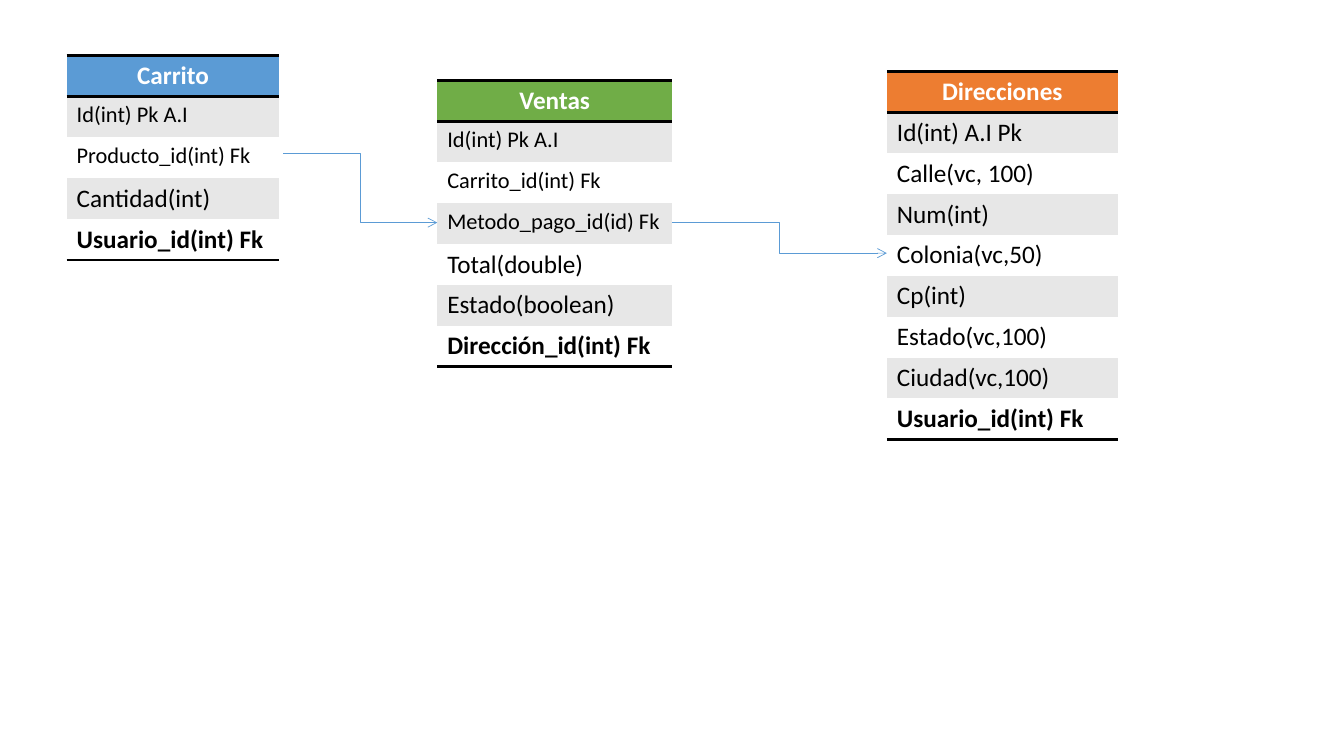
"""Draw the entity tables of a shop database and the links between them."""
from dataclasses import dataclass

from pptx import Presentation
from pptx import util as u
from pptx.dml.color import RGBColor
from pptx.enum import shapes, text
from pptx.oxml import ns, xmlchemy
from pptx.slide import Slide
from pptx.table import _Cell

BLUE = RGBColor(0x5B, 0x9B, 0xD5)
GREEN = RGBColor(0x70, 0xAD, 0x47)
ORANGE = RGBColor(0xED, 0x7D, 0x31)
BAND = RGBColor(0xE7, 0xE7, 0xE7)
WHITE = RGBColor(0xFF, 0xFF, 0xFF)
BLACK = RGBColor(0x00, 0x00, 0x00)

FONT = "Calibri"
ROW_HEIGHT = 1.03
BORDER_WIDTH = u.Pt(2)
PLAIN_TABLE_STYLE = "{2D5ABB26-0587-4C30-8999-92F81FD0307C}"


@dataclass(frozen=True)
class Entity:
    """A database table; its first small_fields fields use smaller text."""

    name: str
    color: RGBColor
    left: float
    top: float
    width: float
    fields: tuple[str, ...]
    small_fields: int = 0


@dataclass(frozen=True)
class Link:
    """An elbow arrow between two points."""

    begin: tuple[float, float]
    end: tuple[float, float]


ENTITIES = (
    Entity("Carrito", BLUE, 1.68, 1.4, 5.36,
           ("Id(int) Pk A.I", "Producto_id(int) Fk", "Cantidad(int)",
            "Usuario_id(int) Fk"), 2),
    Entity("Ventas", GREEN, 11.02, 2.03, 5.92,
           ("Id(int) Pk A.I", "Carrito_id(int) Fk", "Metodo_pago_id(id) Fk",
            "Total(double)", "Estado(boolean)", "Dirección_id(int) Fk"), 3),
    Entity("Direcciones", ORANGE, 22.35, 1.8, 5.82,
           ("Id(int) A.I Pk", "Calle(vc, 100)", "Num(int)", "Colonia(vc,50)",
            "Cp(int)", "Estado(vc,100)", "Ciudad(vc,100)",
            "Usuario_id(int) Fk")),
)

LINKS = (
    Link((7.14, 3.86), (11.02, 5.61)),
    Link((16.94, 5.61), (22.35, 6.38)),
)


def add_border(cell: _Cell, side: str) -> None:
    """Add a black border; call before the cell is filled."""
    border = xmlchemy.OxmlElement(f"a:{side}")
    border.set("w", str(BORDER_WIDTH))
    fill = xmlchemy.OxmlElement("a:solidFill")
    color = xmlchemy.OxmlElement("a:srgbClr")
    color.set("val", str(BLACK))
    fill.append(color)
    border.append(fill)
    cell._tc.get_or_add_tcPr().append(border)


def fill_cell(cell: _Cell, content: str, fill: RGBColor, color: RGBColor,
              size: int, bold: bool) -> None:
    """Write and colour one cell."""
    cell.fill.solid()
    cell.fill.fore_color.rgb = fill
    cell.text_frame.text = content
    font = cell.text_frame.paragraphs[0].runs[0].font
    font.name = FONT
    font.size = u.Pt(size)
    font.bold = bold
    font.color.rgb = color


def add_entity(slide: Slide, entity: Entity) -> None:
    """Draw one entity as a one-column table."""
    row_count = len(entity.fields) + 1
    frame = slide.shapes.add_table(
        row_count, 1, u.Cm(entity.left), u.Cm(entity.top),
        u.Cm(entity.width), u.Cm(ROW_HEIGHT * row_count))
    table = frame.table
    table.first_row = False
    table.horz_banding = False
    for style in frame._element.iter(ns.qn("a:tableStyleId")):
        style.text = PLAIN_TABLE_STYLE
    for row in table.rows:
        row.height = u.Cm(ROW_HEIGHT)

    header = table.cell(0, 0)
    add_border(header, "lnT")
    add_border(header, "lnB")
    fill_cell(header, entity.name, entity.color, WHITE, 18, True)
    header.text_frame.paragraphs[0].alignment = text.PP_ALIGN.CENTER

    for number, field in enumerate(entity.fields, start=1):
        cell = table.cell(number, 0)
        is_last = number == len(entity.fields)
        if is_last:
            add_border(cell, "lnB")
        fill_cell(cell, field, BAND if number % 2 else WHITE, BLACK,
                  16 if number <= entity.small_fields else 18, is_last)


def add_link(slide: Slide, link: Link) -> None:
    """Draw one elbow connector with an open arrowhead."""
    connector = slide.shapes.add_connector(
        shapes.MSO_CONNECTOR.ELBOW,
        *(u.Cm(value) for value in link.begin + link.end))
    connector.line.color.rgb = BLUE
    connector.line.width = u.Pt(0.5)
    arrowhead = xmlchemy.OxmlElement("a:tailEnd")
    arrowhead.set("type", "arrow")
    connector.line._get_or_add_ln().append(arrowhead)
    connector._element.spPr.append(xmlchemy.OxmlElement("a:effectLst"))


def main() -> None:
    """Build and save the presentation."""
    presentation = Presentation()
    presentation.slide_width = u.Cm(33.87)
    presentation.slide_height = u.Cm(19.05)
    slide = presentation.slides.add_slide(presentation.slide_layouts[6])
    for entity in ENTITIES:
        add_entity(slide, entity)
    for link in LINKS:
        add_link(slide, link)
    presentation.save("out.pptx")


if __name__ == "__main__":
    main()
